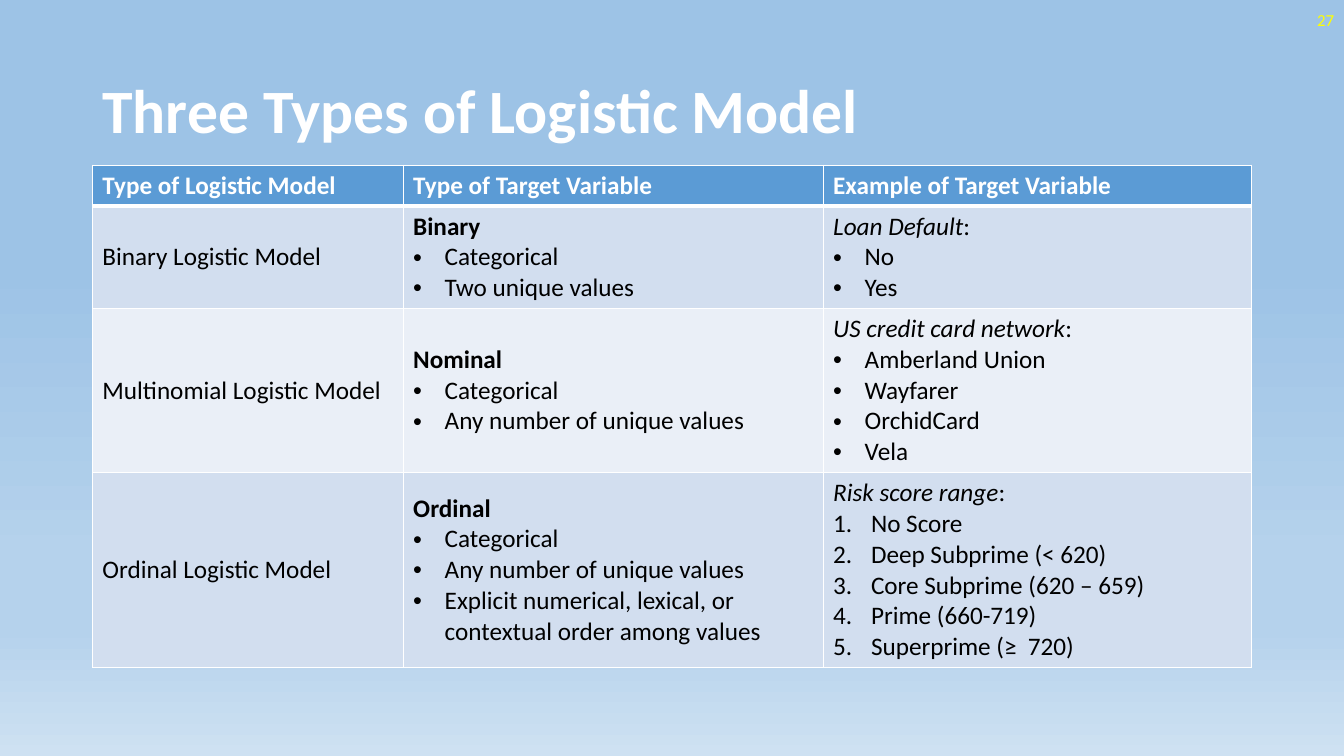
from lxml import etree
from pptx import Presentation
from pptx.dml.color import RGBColor
from pptx.enum.text import MSO_ANCHOR, MSO_AUTO_SIZE, PP_ALIGN
from pptx.oxml.ns import qn
from pptx.util import Pt

LEFT, RIGHT = PP_ALIGN.LEFT, PP_ALIGN.RIGHT
TOP, MIDDLE = MSO_ANCHOR.TOP, MSO_ANCHOR.MIDDLE
NO_AUTOFIT = MSO_AUTO_SIZE.NONE

WHITE = RGBColor(0xFF, 0xFF, 0xFF)
BLACK = RGBColor(0x00, 0x00, 0x00)
YELLOW = RGBColor(0xFF, 0xFF, 0x00)
HEADER_BLUE = RGBColor(0x5B, 0x9B, 0xD5)
BANDS = [RGBColor(0xD2, 0xDE, 0xEF), RGBColor(0xEA, 0xEF, 0xF7)]
SKY, MIST, HORIZON = (RGBColor(0x9D, 0xC3, 0xE6), RGBColor(0xB5, 0xD2, 0xEC),
                      RGBColor(0xCE, 0xE1, 0xF2))
SKY_STOPS = [(35, SKY), (74, MIST), (83, MIST), (100, HORIZON)]

TITLE = {"name": "Calibri", "size": Pt(44), "bold": True}
HEADER = {"name": "Calibri", "size": Pt(18), "bold": True}
BODY = {"name": "Calibri", "size": Pt(18), "bold": False}
STRONG = {**BODY, "bold": True}
EMPHASIS = {**BODY, "italic": True}
NUMBER = {"name": "Calibri", "size": Pt(12)}

BULLET = ("buChar", {"char": "•"}, 22.5)
COUNTER = ("buAutoNum", {"type": "arabicPeriod"}, 27)

COLUMN_WIDTHS = [222, 300, 306]
LINE_HEIGHT, CELL_PADDING = 22, 7.2
HEADINGS = ["Type of Logistic Model", "Type of Target Variable", "Example of Target Variable"]
# model, target type, its traits, example, list marker, example values
MODELS = [
    ("Binary Logistic Model", "Binary", ["Categorical", "Two unique values"],
     "Loan Default", BULLET, ["No", "Yes"]),
    ("Multinomial Logistic Model", "Nominal", ["Categorical", "Any number of unique values"],
     "US credit card network", BULLET,
     ["Amberland Union", "Wayfarer", "OrchidCard", "Vela"]),
    ("Ordinal Logistic Model", "Ordinal",
     ["Categorical", "Any number of unique values",
      "Explicit numerical, lexical, or contextual order among values"],
     "Risk score range", COUNTER,
     ["No Score", "Deep Subprime (< 620)", "Core Subprime (620 – 659)",
      "Prime (660-719)", "Superprime (≥  720)"]),
]


def add_span(para, text, style, color):
    span = para.add_run()
    span.text = text
    for name, value in style.items():
        setattr(span.font, name, value)
    span.font.color.rgb = color


def add_element(parent, tag, **attributes):
    return etree.SubElement(parent, qn(f"a:{tag}"), attributes)


def paint_background(page):
    page.background.fill.gradient()
    gradient = page.element.find(".//" + qn("a:gradFill"))
    for child in list(gradient):
        gradient.remove(child)
    stops = add_element(gradient, "gsLst")
    for percent, color in SKY_STOPS:
        stop = add_element(stops, "gs", pos=str(percent * 1000))
        add_element(stop, "srgbClr", val=str(color))
    add_element(gradient, "lin", ang="5400000", scaled="0")


def place(shape, left, top, width, height):
    shape.left, shape.top, shape.width, shape.height = map(Pt, (left, top, width, height))


def add_title(page, box):
    title = page.shapes.title
    place(title, *box)
    frame = title.text_frame
    frame.auto_size = NO_AUTOFIT
    frame.vertical_anchor = MIDDLE
    para = frame.paragraphs[0]
    para.alignment = LEFT
    para.line_spacing = 0.9
    add_span(para, "Three Types of Logistic Model", TITLE, WHITE)


def add_page_number(page, box):
    frame = page.shapes.add_textbox(*map(Pt, box)).text_frame
    frame.word_wrap = True
    frame.vertical_anchor = MIDDLE
    para = frame.paragraphs[0]
    para.alignment = RIGHT
    add_span(para, "27", NUMBER, YELLOW)


def format_cell(cell, fill, anchor, top=1, bottom=1):
    """Set borders, with top and bottom widths in points, then the fill."""
    properties = cell._tc.get_or_add_tcPr()
    for side, width in {"L": 1, "R": 1, "T": top, "B": bottom}.items():
        line = add_element(properties, f"ln{side}", w=str(Pt(width)))
        add_element(add_element(line, "solidFill"), "srgbClr", val=str(WHITE))
    cell.fill.solid()
    cell.fill.fore_color.rgb = fill
    cell.vertical_anchor = anchor


def add_list(frame, items, marker):
    tag, attributes, indent = marker
    for item in items:
        para = frame.add_paragraph()
        properties = para._p.get_or_add_pPr()
        properties.set("marL", str(Pt(indent)))
        properties.set("indent", str(-Pt(indent)))
        add_element(properties, "buFont", typeface="Arial" if marker is BULLET else "+mj-lt")
        add_element(properties, tag, **attributes)
        add_span(para, item, BODY, BLACK)


def fill_model_row(cells, model):
    name, target, traits, example, marker, values = model
    name_para, target_para, example_para = (cell.text_frame.paragraphs[0] for cell in cells)
    add_span(name_para, name, BODY, BLACK)
    add_span(target_para, target, STRONG, BLACK)
    add_list(cells[1].text_frame, traits, BULLET)
    add_span(example_para, example, EMPHASIS, BLACK)
    add_span(example_para, ":", BODY, BLACK)
    add_list(cells[2].text_frame, values, marker)


def add_model_table(page, box):
    frame = page.shapes.add_table(len(MODELS) + 1, len(HEADINGS), *map(Pt, box))
    table = frame.table
    for column, width in zip(table.columns, COLUMN_WIDTHS):
        column.width = Pt(width)
    line_counts = [1] + [len(model[-1]) + 1 for model in MODELS]
    for row, lines in zip(table.rows, line_counts):
        row.height = Pt(lines * LINE_HEIGHT + CELL_PADDING)
    header, *body = table.rows
    for cell, heading in zip(header.cells, HEADINGS):
        format_cell(cell, HEADER_BLUE, TOP, bottom=3)
        add_span(cell.text_frame.paragraphs[0], heading, HEADER, WHITE)
    for index, (row, model) in enumerate(zip(body, MODELS)):
        cells = list(row.cells)
        for cell in cells:
            format_cell(cell, BANDS[index % 2], MIDDLE, top=3 if index == 0 else 1)
        fill_model_row(cells, model)


def main():
    deck = Presentation()
    deck.slide_width, deck.slide_height = Pt(960), Pt(540)
    page = deck.slides.add_slide(deck.slide_layouts.get_by_name("Title Only"))
    paint_background(page)
    add_title(page, (66, 28.75, 828, 104.4))
    add_model_table(page, (66, 118, 828, 358))
    add_page_number(page, (744, 0, 216, 28.8))
    deck.save("out.pptx")


if __name__ == "__main__":
    main()
